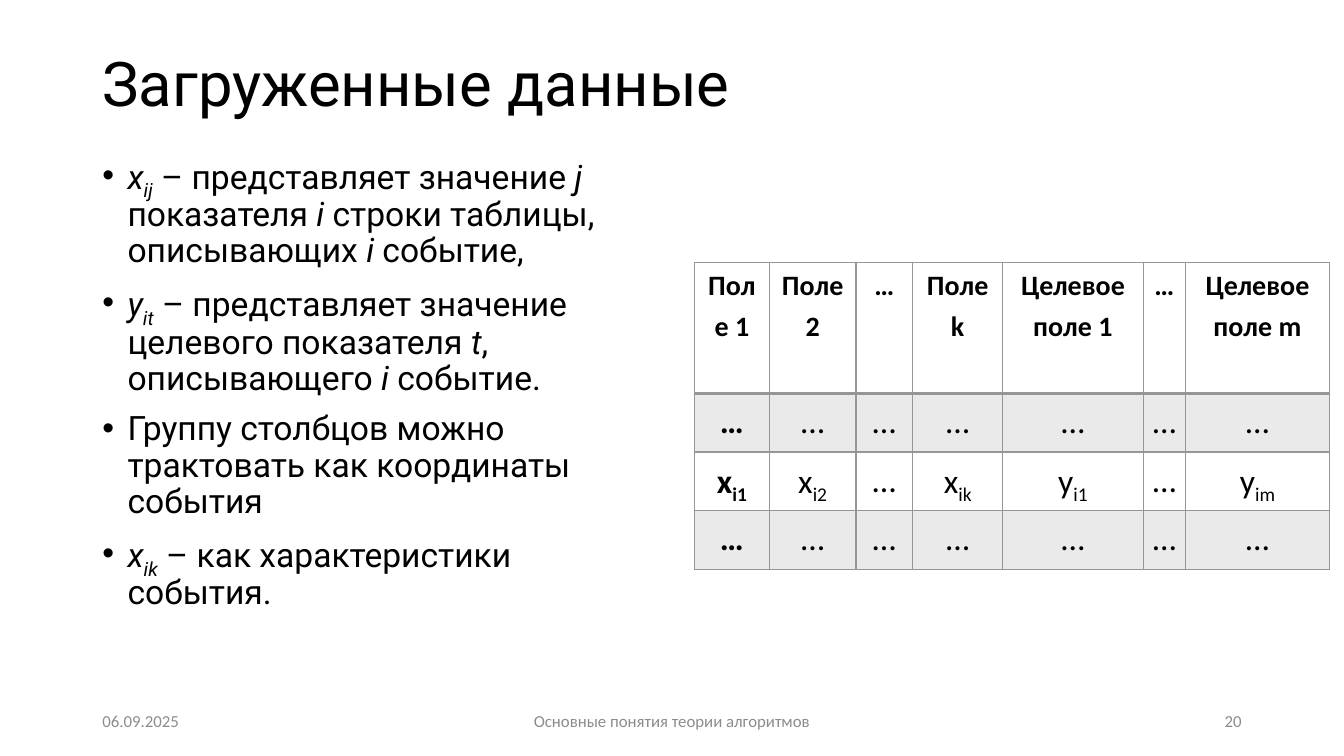
import lxml.etree
import pptx
import pptx.dml.color
import pptx.enum.text
import pptx.oxml.ns
import pptx.util

ALIGN = pptx.enum.text.PP_ALIGN
ANCHOR = pptx.enum.text.MSO_ANCHOR
qn = pptx.oxml.ns.qn
Cm = pptx.util.Cm


def color(value):
    return pptx.dml.color.RGBColor.from_string(value)


def add_element(parent, tag, **attributes):
    return lxml.etree.SubElement(parent, qn(tag), **attributes)


def write(paragraph, text, size=24, font="Calibri", ink="000000", bold=False,
          align=ALIGN.LEFT, spacing=1.0, before=0):
    """Asterisks enclose italics, tildes enclose subscripts."""
    paragraph.alignment = align
    paragraph.line_spacing = spacing
    paragraph.space_before = pptx.util.Pt(before)
    for italic_index, part in enumerate(text.split("*")):
        for sub_index, piece in enumerate(part.split("~")):
            if not piece:
                continue
            run = paragraph.add_run()
            run.text = piece
            run.font.size = pptx.util.Pt(size)
            run.font.name = font
            run.font.bold = bold
            run.font.italic = italic_index % 2 == 1
            run.font.color.rgb = color(ink)
            if sub_index % 2:
                run.font._element.set("baseline", "-25000")


class SlideBuilder:
    heading_font = "Roboto"
    muted = "8C8C8C"
    grid = "969696"

    def __init__(self, slide):
        self.slide = slide

    def frame(self, left, top, width, height, anchor=ANCHOR.MIDDLE):
        box = self.slide.shapes.add_textbox(Cm(left), Cm(top), Cm(width), Cm(height))
        box.text_frame.word_wrap = True
        box.text_frame.vertical_anchor = anchor
        return box.text_frame

    def title(self, text):
        frame = self.frame(2.33, 1.02, 29.21, 2.31)
        write(frame.paragraphs[0], text, size=44, font=self.heading_font, spacing=0.9)

    def footer(self, text, left, width, align):
        frame = self.frame(left, 17.65, width, 1.02)
        write(frame.paragraphs[0], text, size=12, ink=self.muted, align=align)

    def bullets(self, items):
        frame = self.frame(2.33, 3.81, 14.4, 13.33, anchor=ANCHOR.TOP)
        indent = Cm(0.635)
        for index, item in enumerate(items):
            paragraph = frame.paragraphs[0] if index == 0 else frame.add_paragraph()
            write(paragraph, item, font=self.heading_font, spacing=0.9,
                  before=10 if index else 0)
            properties = paragraph._p.get_or_add_pPr()
            properties.set("marL", str(indent))
            properties.set("indent", str(-indent))
            add_element(properties, "a:buFont", typeface="Arial")
            add_element(properties, "a:buChar", char="•")

    def borders(self, cell, top, bottom):
        properties = cell._tc.get_or_add_tcPr()
        sides = {"a:lnL": 1, "a:lnR": 1, "a:lnT": top, "a:lnB": bottom}
        for index, (tag, points) in enumerate(sides.items()):
            line = add_element(properties, tag, w=str(pptx.util.Pt(points)))
            add_element(add_element(line, "a:solidFill"), "a:srgbClr", val=self.grid)
            properties.insert(index, line)

    def shade(self, cell):
        cell.fill.solid()
        cell.fill.fore_color.rgb = color(self.grid)
        fill_color = cell._tc.tcPr.find(".//" + qn("a:srgbClr"))
        add_element(fill_color, "a:alpha", val="20000")

    def table(self, left, top, widths, heights, rows):
        table = self.slide.shapes.add_table(
            len(rows), len(widths), Cm(left), Cm(top),
            Cm(sum(widths)), Cm(sum(heights))).table
        for column, width in zip(table.columns, widths):
            column.width = Cm(width)
        for row_index, texts in enumerate(rows):
            table.rows[row_index].height = Cm(heights[row_index])
            header = row_index == 0
            for column_index, text in enumerate(texts):
                cell = table.cell(row_index, column_index)
                cell.margin_left = cell.margin_right = Cm(0.19)
                cell.margin_top = cell.margin_bottom = 0
                write(cell.text_frame.paragraphs[0], text, size=20 if header else 24,
                      bold=header or column_index == 0, align=ALIGN.CENTER, spacing=1.2)
                if row_index % 2:
                    self.shade(cell)
                else:
                    cell.fill.background()
                self.borders(cell, top=2 if row_index == 1 else 1,
                             bottom=2 if header else 1)


def main():
    presentation = pptx.Presentation()
    presentation.slide_width = Cm(33.87)
    presentation.slide_height = Cm(19.05)
    builder = SlideBuilder(presentation.slides.add_slide(presentation.slide_layouts[6]))

    builder.title("Загруженные данные")
    builder.footer("06.09.2025", 2.33, 7.62, ALIGN.LEFT)
    builder.footer("Основные понятия теории алгоритмов", 11.22, 11.43, ALIGN.CENTER)
    builder.footer("20", 23.92, 7.62, ALIGN.RIGHT)
    builder.bullets([
        "*x~ij~* – представляет значение *j *показателя *i *строки таблицы, "
        "описывающих *i *событие,",
        "*y~it~* – представляет значение целевого показателя *t*, "
        "описывающего *i *событие.",
        "Группу столбцов можно трактовать как координаты события",
        "*x~ik~* – как характеристики события.",
    ])

    widths = [1.89, 2.18, 1.43, 2.27, 3.54, 1.07, 3.62]
    ellipses = ["…"] * len(widths)
    builder.table(17.5, 6.61, widths, [3.3, 1.48, 1.48, 1.48], [
        ["Поле 1", "Поле 2", "…", "Поле k", "Целевое поле 1", "…", "Целевое поле m"],
        ellipses,
        ["x~i1~", "x~i2~", "…", "x~ik~", "y~i1~", "…", "y~im~"],
        ellipses,
    ])
    presentation.save("out.pptx")


if __name__ == "__main__":
    main()
